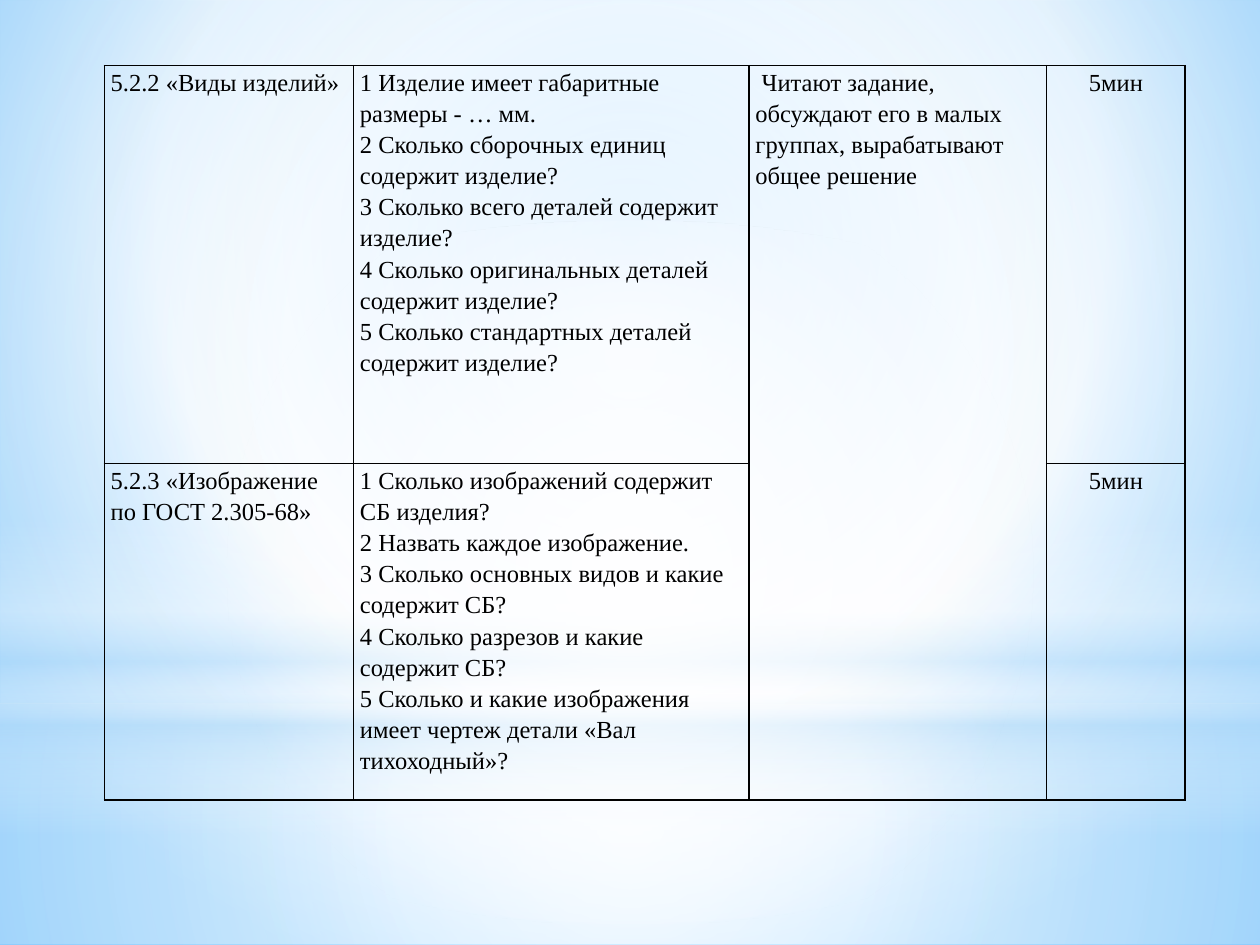
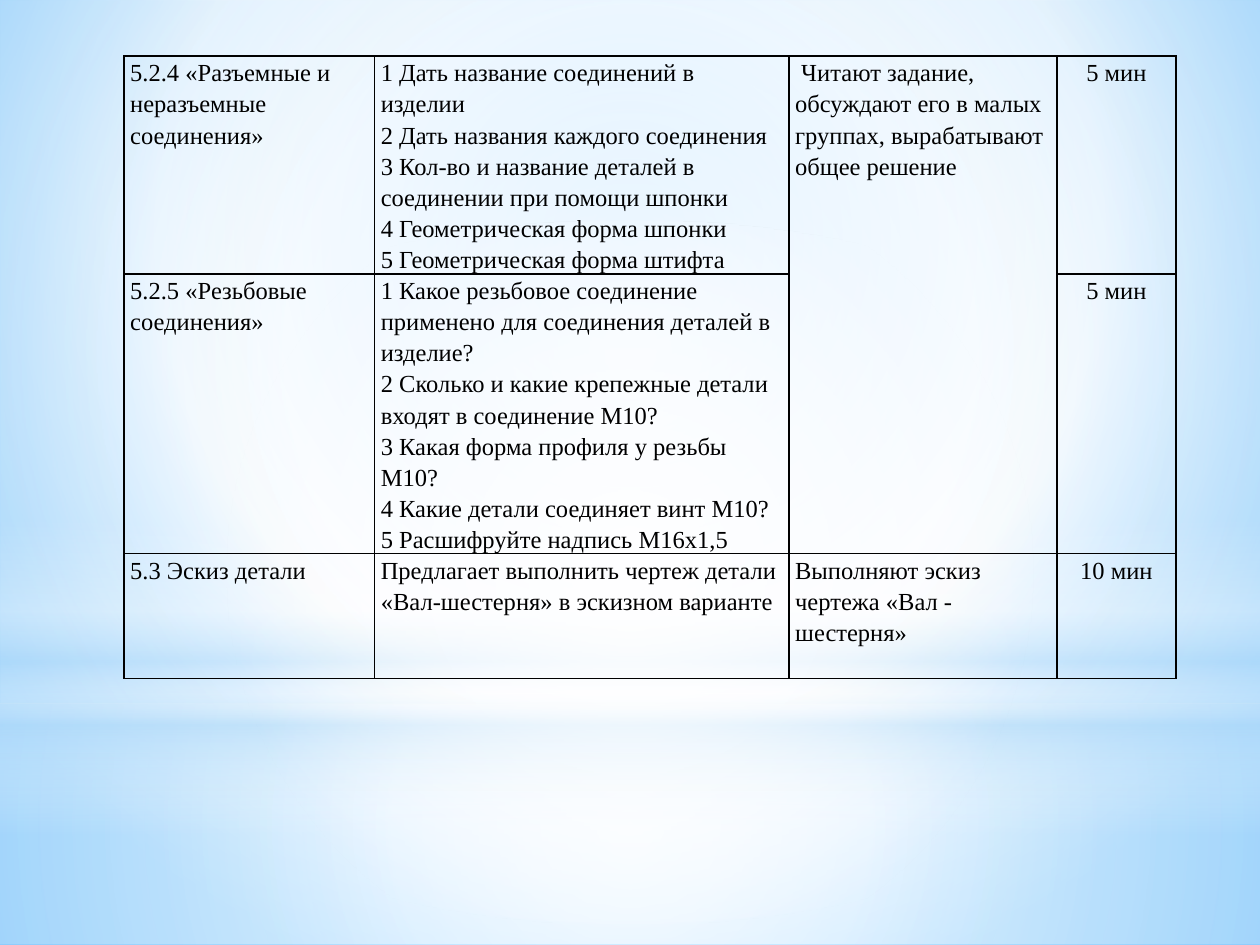
from dataclasses import dataclass

from pptx import Presentation
from pptx.dml.color import RGBColor
from pptx.enum.shapes import MSO_SHAPE
from pptx.enum.text import PP_ALIGN
from pptx.oxml import parse_xml
from pptx.oxml.ns import nsdecls, qn
from pptx.util import Pt


@dataclass(frozen=True)
class Theme:
    ink: str = "000000"
    white: str = "FFFFFF"
    haze: str = "B4DCFA"
    sky: str = "9ED5FF"
    deep_sky: str = "5BB9FF"
    font: str = "Times New Roman"
    text_size: float = 14
    line_spacing: float = 1.15
    border: float = 1
    side_margin: float = 3.6


THEME = Theme()
WIDTH, HEIGHT = 720, 540
CENTRE = (50, 50, 50, 50)
TIME_COLUMN = 3
GROUP_WORK = " Читают задание, обсуждают его в малых группах, вырабатывают общее решение"

# Each layer: preset, (left, top, width, height), stops (position, colour, opacity), focus
BACKDROP = [
    (MSO_SHAPE.RECTANGLE, (0, 402, WIDTH, 138),
     [(0, THEME.white, 91), (37, THEME.white, 76), (100, THEME.haze, 79)], CENTRE),
    (MSO_SHAPE.RECTANGLE, (0, 0, WIDTH, 402),
     [(0, THEME.white, 89), (48, THEME.white, 62), (100, THEME.haze, 79)], CENTRE),
    (MSO_SHAPE.RECTANGLE, (0, 297, WIDTH, 180),
     [(0, THEME.white, 0), (29, THEME.white, 30), (45, THEME.haze, 40),
      (55, THEME.white, 26), (65, THEME.haze, 60), (100, THEME.white, 0)], None),
    (MSO_SHAPE.OVAL, (0, 126, WIDTH, 402),
     [(0, THEME.white, 100), (56, THEME.white, 0)], CENTRE),
]
SKY_STOPS = [(0, THEME.sky, 100), (60, THEME.white, 100), (100, THEME.deep_sky, 100)]
SKY_FOCUS = (20, 10, 20, 60)

# Each lesson table: box position, column widths, row heights, rows of cells;
# a cell is a list of paragraphs, None continues the cell above.
LESSONS = [
    {
        "at": (59.6, 37.5),
        "columns": (142.5, 226, 170, 79.2),
        "heights": (227.5, 192.3),
        "rows": [
            [["5.2.2 «Виды изделий»"],
             ["1 Изделие имеет габаритные размеры - … мм.",
              "2 Сколько сборочных единиц содержит изделие?",
              "3 Сколько всего деталей содержит изделие?",
              "4 Сколько оригинальных деталей содержит изделие?",
              "5 Сколько стандартных деталей содержит изделие?"],
             [GROUP_WORK],
             ["5мин"]],
            [["5.2.3 «Изображение по ГОСТ 2.305-68»"],
             ["1 Сколько изображений содержит СБ изделия?",
              "2 Назвать каждое изображение.",
              "3 Сколько основных видов и какие содержит СБ?",
              "4 Сколько разрезов и какие содержит СБ?",
              "5 Сколько и какие изображения имеет чертеж детали «Вал тихоходный»?"],
             None,
             ["5мин"]],
        ],
    },
    {
        "at": (70.8, 32),
        "columns": (143.2, 236.8, 153.2, 68),
        "heights": (124, 160, 71.2),
        "rows": [
            [["5.2.4 «Разъемные и неразъемные соединения»"],
             ["1 Дать название соединений в изделии",
              "2 Дать названия каждого соединения",
              "3 Кол-во и название деталей в соединении при помощи шпонки",
              "4 Геометрическая форма шпонки",
              "5 Геометрическая форма штифта"],
             [GROUP_WORK],
             ["5 мин"]],
            [["5.2.5 «Резьбовые соединения»"],
             ["1 Какое резьбовое соединение применено для соединения деталей в изделие?",
              "2 Сколько и какие крепежные детали входят в соединение М10?",
              "3 Какая форма профиля у резьбы М10?",
              "4 Какие детали соединяет винт М10?",
              "5 Расшифруйте надпись М16х1,5"],
             None,
             ["5 мин"]],
            [["5.3 Эскиз детали"],
             ["Предлагает выполнить чертеж детали «Вал-шестерня» в эскизном варианте"],
             ["Выполняют эскиз чертежа «Вал - шестерня»"],
             ["10 мин"]],
        ],
    },
]


def paint_gradient(fill, owner, stops, focus):
    """Fill with a circular gradient around focus, or a vertical one without it."""
    fill.gradient()
    stop_list = "".join(
        f'<a:gs pos="{position * 1000}"><a:srgbClr val="{colour}">'
        f'<a:alpha val="{opacity * 1000}"/></a:srgbClr></a:gs>'
        for position, colour, opacity in stops)
    if focus:
        sides = " ".join(f'{side}="{value * 1000}"' for side, value in zip("ltrb", focus))
        direction = f'<a:path path="circle"><a:fillToRect {sides}/></a:path>'
    else:
        direction = '<a:lin ang="5400000" scaled="0"/>'
    plain = owner.find(".//" + qn("a:gradFill"))
    plain.getparent().replace(plain, parse_xml(
        f'<a:gradFill {nsdecls("a")} rotWithShape="1">'
        f'<a:gsLst>{stop_list}</a:gsLst>{direction}</a:gradFill>'))


def draw_backdrop(slide):
    paint_gradient(slide.background.fill, slide._element, SKY_STOPS, SKY_FOCUS)
    for preset, box, stops, focus in BACKDROP:
        layer = slide.shapes.add_shape(preset, *map(Pt, box))
        layer.shadow.inherit = False
        layer.line.fill.background()
        paint_gradient(layer.fill, layer._element, stops, focus)


def outline_cell(cell):
    properties = cell._tc.get_or_add_tcPr()
    for side in "LRTB":
        properties.append(parse_xml(
            f'<a:ln{side} {nsdecls("a")} w="{Pt(THEME.border)}"><a:solidFill>'
            f'<a:srgbClr val="{THEME.ink}"/></a:solidFill></a:ln{side}>'))
    cell.fill.background()


def write_cell(cell, lines, alignment):
    cell.margin_left = cell.margin_right = Pt(THEME.side_margin)
    cell.margin_top = cell.margin_bottom = 0
    cell.text = "\n".join(lines)
    for paragraph in cell.text_frame.paragraphs:
        paragraph.alignment = alignment
        paragraph.line_spacing = THEME.line_spacing
        paragraph.font.name = THEME.font
        paragraph.font.size = Pt(THEME.text_size)
        paragraph.font.color.rgb = RGBColor.from_string(THEME.ink)


def draw_lesson_table(slide, at, columns, heights, rows):
    table = slide.shapes.add_table(
        len(heights), len(columns), *map(Pt, (*at, sum(columns), sum(heights)))).table
    table.first_row = table.horz_banding = False
    for column, width in zip(table.columns, columns):
        column.width = Pt(width)
    for row, height in zip(table.rows, heights):
        row.height = Pt(height)
    for r, row in enumerate(rows):
        for c, lines in enumerate(row):
            cell = table.cell(r, c)
            outline_cell(cell)
            if lines is None:
                table.cell(r - 1, c).merge(cell)
            else:
                write_cell(cell, lines,
                           PP_ALIGN.CENTER if c == TIME_COLUMN else PP_ALIGN.LEFT)


def main():
    deck = Presentation()
    deck.slide_width, deck.slide_height = Pt(WIDTH), Pt(HEIGHT)
    for lesson in LESSONS:
        slide = deck.slides.add_slide(deck.slide_layouts[6])
        draw_backdrop(slide)
        draw_lesson_table(slide, **lesson)
    deck.save("out.pptx")


if __name__ == "__main__":
    main()
